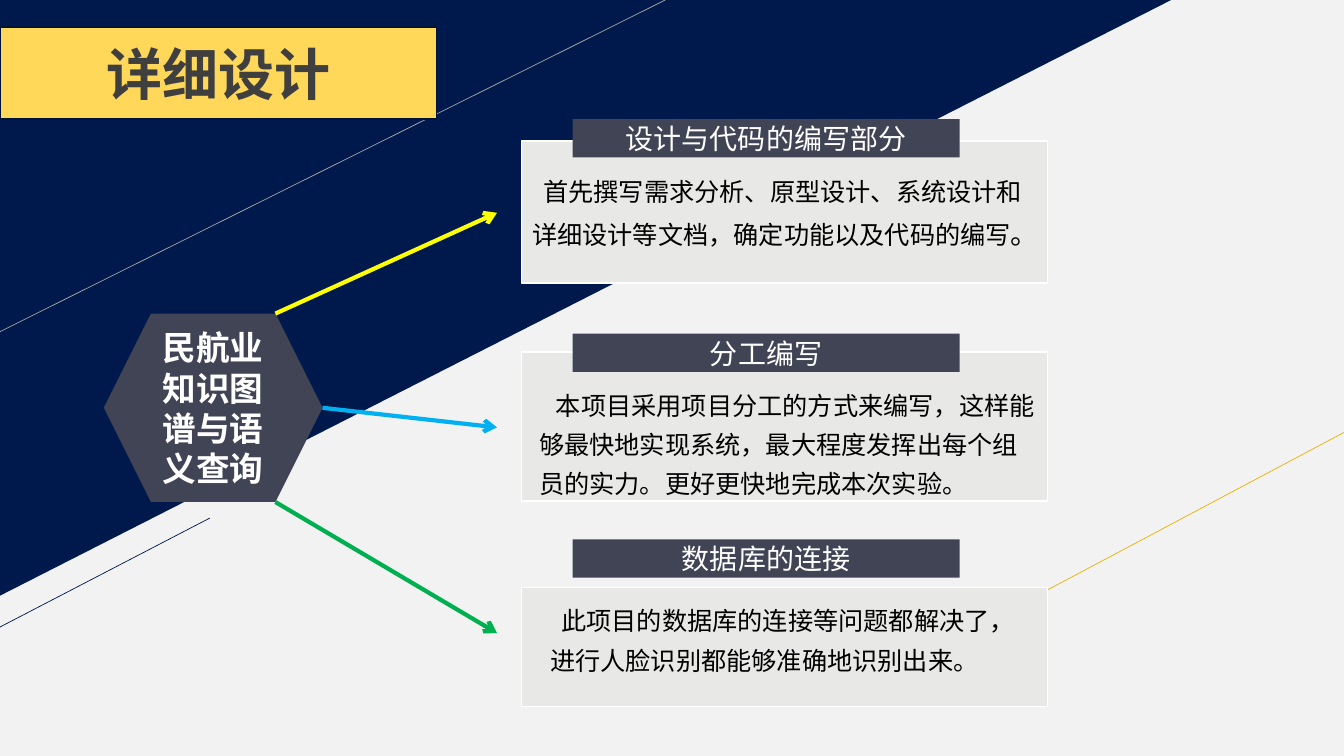
import dataclasses
import typing

import pptx
import pptx.dml.color
import pptx.enum.shapes
import pptx.enum.text
import pptx.oxml
import pptx.oxml.ns
import pptx.util

Pt = pptx.util.Pt
Shapes = pptx.enum.shapes.MSO_SHAPE
Align = pptx.enum.text.PP_ALIGN
Anchor = pptx.enum.text.MSO_ANCHOR


@dataclasses.dataclass(frozen=True)
class Theme:
    paper: str = "F2F2F2"
    navy: str = "00194C"
    grey: str = "A6A6A6"
    gold: str = "EAB200"
    slate: str = "414455"
    card: str = "E8E8E6"
    white: str = "FFFFFF"
    black: str = "000000"
    title_fill: str = "FFD759"
    title_edge: str = "001238"
    title_text: str = "3F3F3F"
    title_size: int = 40
    topic_size: int = 24
    header_size: int = 20
    body_size: int = 18
    font: str = "Noto Sans CJK SC"
    title_font: str = "Calibri"


THEME = Theme()


class Box(typing.NamedTuple):
    left: float
    top: float
    width: float
    height: float

    def lengths(self) -> list[int]:
        return [Pt(value) for value in self]


class Line(typing.NamedTuple):
    start: tuple[float, float]
    end: tuple[float, float]
    color: str
    weight: float
    arrow: bool = False


class Words(typing.NamedTuple):
    text: str
    size: int
    color: str
    bold: bool = False
    font: str = THEME.font


@dataclasses.dataclass(frozen=True)
class Section:
    heading: str
    header_top: float
    card: Box
    body: Box
    indent: float
    words: tuple[Words, ...]
    arrow_start: tuple[float, float]
    arrow_color: str


def body_words(text: str, size: int = THEME.body_size) -> Words:
    return Words(text, size, THEME.black)


HEXAGON = Box(74.2, 224, 156.2, 134.6)
CORNER_X = HEXAGON.left + HEXAGON.width - HEXAGON.height / 4
RIGHT_X = HEXAGON.left + HEXAGON.width
BOTTOM_Y = HEXAGON.top + HEXAGON.height

CARD_LEFT, CARD_WIDTH = 372.4, 375.8
HEADER_LEFT, HEADER_WIDTH, HEADER_HEIGHT = 409, 276.5, 27.4
ARROW_TIP_X, ARROW_DROP = 355, 67

BACKGROUND_LINES = (
    Line((0, 236.9), (475.2, 0), THEME.grey, 0.5),
    Line((709.2, 442.1), (960, 308.9), THEME.gold, 0.5),
    Line((-1.4, 448.6), (149.8, 370.1), THEME.navy, 0.5),
)

SECTIONS = (
    Section(
        "设计与代码的编写部分", 85,
        Box(CARD_LEFT, 100.8, CARD_WIDTH, 101.5),
        Box(373, 115.9, 374.4, 64.8), 8,
        (body_words("首先撰写需求分析、原型设计、系统设计和详细设计等文档，确定功能以及代码的编写"),
         body_words("。", THEME.header_size)),
        (CORNER_X, HEXAGON.top), "FFFF00",
    ),
    Section(
        "分工编写", 238.3,
        Box(CARD_LEFT, 251.3, CARD_WIDTH, 106.6),
        Box(378, 268.6, 372.2, 90), 12,
        (body_words("本项目采用项目分工的方式来编写，这样能够最快地实现系统，"
                    "最大程度发挥出每个组员的实力。更好更快地完成本次实验。"),),
        (RIGHT_X, HEXAGON.top + HEXAGON.height / 2), "00B0F0",
    ),
    Section(
        "数据库的连接", 385.2,
        Box(CARD_LEFT, 419.8, CARD_WIDTH, 85),
        Box(385.9, 422.6, 357.1, 61.9), 8,
        (body_words("此项目的数据库的连接等问题都解决了，进行人脸识别都能够准确地识别出来。"),),
        (CORNER_X, BOTTOM_Y), "00B050",
    ),
)


def rgb(color: str) -> pptx.dml.color.RGBColor:
    return pptx.dml.color.RGBColor.from_string(color)


def add_words(para, words: Words) -> None:
    span = para.add_run()
    span.text = words.text
    formats = {"size": Pt(words.size), "bold": words.bold, "name": words.font}
    for name, value in formats.items():
        setattr(span.font, name, value)
    span.font.color.rgb = rgb(words.color)
    east_asian = pptx.oxml.parse_xml(
        f'<a:ea {pptx.oxml.ns.nsdecls("a")} typeface="{THEME.font}"/>')
    span.font._element.append(east_asian)


def add_box(slide, kind, box: Box, fill: str, edge: str | None = None,
            words: Words | None = None):
    shape = slide.shapes.add_shape(kind, *box.lengths())
    shape.shadow.inherit = False
    shape.fill.solid()
    shape.fill.fore_color.rgb = rgb(fill)
    if edge:
        shape.line.color.rgb = rgb(edge)
        shape.line.width = Pt(1)
    else:
        shape.line.fill.background()
    if words:
        shape.text_frame.vertical_anchor = Anchor.MIDDLE
        para = shape.text_frame.paragraphs[0]
        para.alignment = Align.CENTER
        add_words(para, words)
    return shape


def add_line(slide, line: Line) -> None:
    ends = [Pt(value) for value in (*line.start, *line.end)]
    connector = slide.shapes.add_connector(
        pptx.enum.shapes.MSO_CONNECTOR.STRAIGHT, *ends)
    connector.line.color.rgb = rgb(line.color)
    connector.line.width = Pt(line.weight)
    namespace = pptx.oxml.ns.nsdecls("a")
    if line.arrow:
        connector.line._ln.append(
            pptx.oxml.parse_xml(f'<a:tailEnd {namespace} type="arrow"/>'))
    connector.element.spPr.append(pptx.oxml.parse_xml(f"<a:effectLst {namespace}/>"))


def add_body(slide, section: Section) -> None:
    frame = slide.shapes.add_textbox(*section.body.lengths()).text_frame
    formats = {"word_wrap": True,
               "auto_size": pptx.enum.text.MSO_AUTO_SIZE.SHAPE_TO_FIT_TEXT}
    for name, value in formats.items():
        setattr(frame, name, value)
    para = frame.paragraphs[0]
    para.line_spacing = 1.3
    para._p.get_or_add_pPr().set("indent", str(Pt(section.indent)))
    for words in section.words:
        add_words(para, words)


def add_section(slide, section: Section) -> None:
    add_box(slide, Shapes.RECTANGLE, section.card, THEME.card, THEME.white)
    header = Box(HEADER_LEFT, section.header_top, HEADER_WIDTH, HEADER_HEIGHT)
    add_box(slide, Shapes.RECTANGLE, header, THEME.slate,
            words=Words(section.heading, THEME.header_size, THEME.white))
    add_body(slide, section)
    tip = (ARROW_TIP_X, section.header_top + ARROW_DROP)
    add_line(slide, Line(section.arrow_start, tip, section.arrow_color, 3, arrow=True))


def main() -> None:
    deck = pptx.Presentation()
    deck.slide_width, deck.slide_height = Pt(960), Pt(540)
    slide = deck.slides.add_slide(deck.slide_layouts[6])
    add_box(slide, Shapes.RECTANGLE, Box(0, 0, 960, 540), THEME.paper)
    triangle = add_box(slide, Shapes.RIGHT_TRIANGLE, Box(0, 0, 836.6, 425.5), THEME.navy)
    triangle.element.spPr.xfrm.set("flipV", "1")
    for line in BACKGROUND_LINES:
        add_line(slide, line)
    add_box(slide, Shapes.HEXAGON, HEXAGON, THEME.slate,
            words=Words("民航业知识图谱与语义查询", THEME.topic_size, THEME.white, True))
    for section in SECTIONS:
        add_section(slide, section)
    add_box(slide, Shapes.RECTANGLE, Box(0, 19.4, 311.8, 65.5), THEME.title_fill,
            THEME.title_edge, Words("详细设计", THEME.title_size, THEME.title_text,
                                    True, THEME.title_font))
    deck.save("out.pptx")


if __name__ == "__main__":
    main()
